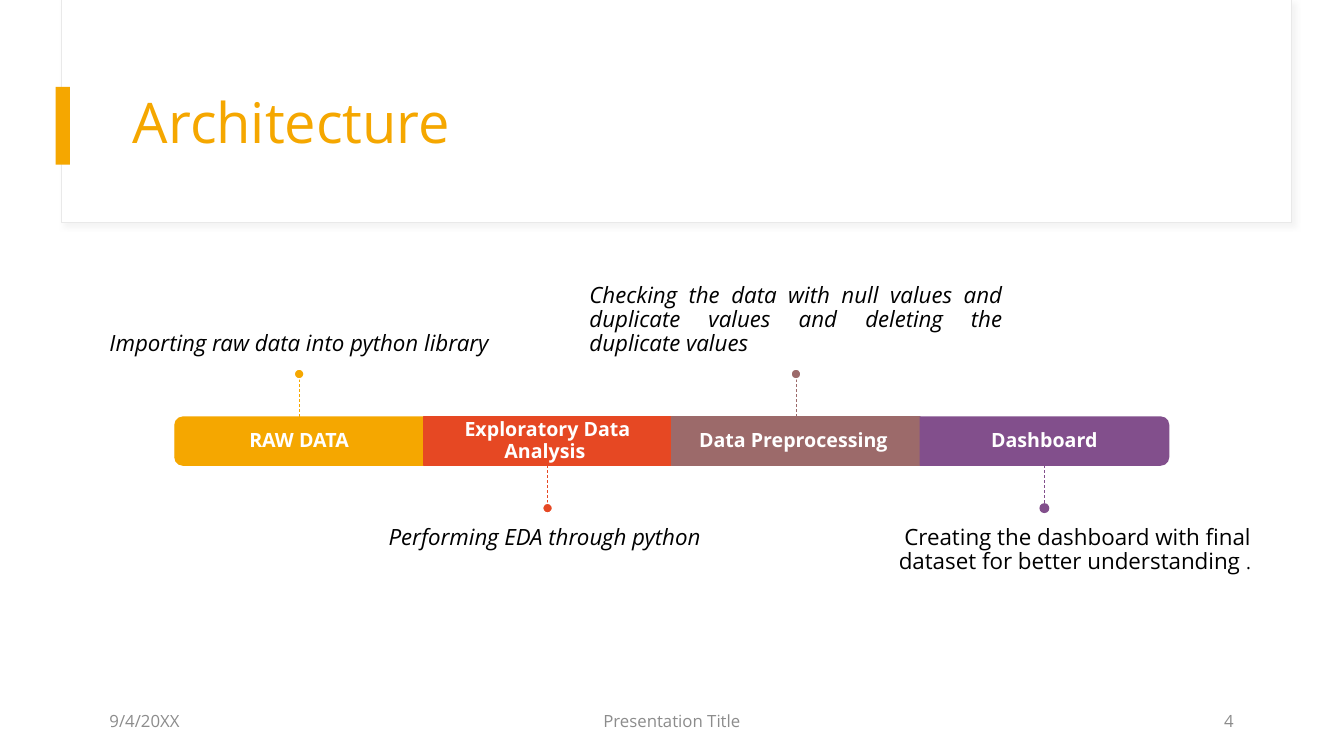
"""Build the Architecture slide: a four-stage data pipeline band with captions."""

from dataclasses import dataclass

from lxml.etree import SubElement
from pptx import Presentation
from pptx.dml.color import RGBColor
from pptx.enum.dml import MSO_LINE
from pptx.enum.shapes import MSO_CONNECTOR, MSO_SHAPE
from pptx.enum.text import MSO_ANCHOR as Anchor, PP_ALIGN as Align
from pptx.oxml import parse_xml
from pptx.oxml.ns import nsdecls, qn
from pptx.shapes.autoshape import Shape
from pptx.slide import Slide
from pptx.text.text import _Paragraph as Paragraph
from pptx.util import Cm, Pt


@dataclass(frozen=True)
class Theme:
    """Colours and type sizes of the slide."""
    font: str = "Open Sans"
    white: str = "FFFFFF"
    black: str = "000000"
    grey: str = "8C8C8C"
    border: str = "E9E9E9"
    shade: str = "D9D9D9"
    amber: str = "F5A700"
    red: str = "E64823"
    rose: str = "9C6A6A"
    purple: str = "824F8C"
    title: float = 40
    caption: float = 16
    label: float = 14
    full_stop: float = 13
    footer: float = 12


@dataclass(frozen=True)
class Box:
    """A frame in centimetres."""
    left: float
    top: float
    width: float
    height: float


@dataclass(frozen=True)
class Stage:
    """One stage of the pipeline with its caption."""
    label: str
    caption: str
    color: str
    above: bool
    align: Align = Align.CENTER
    italic: bool = True
    rotation: int = 0
    full_stop: str = ""
    dot_line: bool = True


@dataclass(frozen=True)
class Footer:
    """One footer field."""
    text: str
    box: Box
    align: Align


THEME = Theme()
BAND = Box(4.41, 10.51, 6.26, 1.21)
DOT = 0.25
STEM = 0.96
CAPTION_WIDTH, CAPTION_HEIGHT = 10.41, 4.24
CAPTION_GAP = 1.2
STAGES = [
    Stage("RAW DATA", "Importing raw data into python library",
          THEME.amber, True, rotation=270),
    Stage("Exploratory Data Analysis ", "Performing EDA through python ",
          THEME.red, False),
    Stage("Data Preprocessing ",
          "Checking the data with null values and duplicate values "
          "and deleting the duplicate values",
          THEME.rose, True, align=Align.JUSTIFY),
    Stage("Dashboard",
          "Creating the dashboard with final dataset for better understanding ",
          THEME.purple, False, align=Align.RIGHT, italic=False, rotation=90,
          full_stop=".", dot_line=False),
]
FOOTERS = [
    Footer("9/4/20XX", Box(2.51, 17.65, 7.62, 1.02), Align.LEFT),
    Footer("Presentation Title", Box(11.22, 17.65, 11.43, 1.02), Align.CENTER),
    Footer("4", Box(23.72, 17.65, 7.62, 1.02), Align.RIGHT),
]


def add_block(page: Slide, kind: MSO_SHAPE, box: Box, fill: str,
              line: str = "", weight: float = 1) -> Shape:
    """Add a filled preset shape, outlined when a line colour is given."""
    block = page.shapes.add_shape(
        kind, Cm(box.left), Cm(box.top), Cm(box.width), Cm(box.height))
    block.shadow.inherit = False
    block.fill.solid()
    block.fill.fore_color.rgb = RGBColor.from_string(fill)
    if line:
        block.line.color.rgb = RGBColor.from_string(line)
        block.line.width = Pt(weight)
    else:
        block.line.fill.background()
    return block


def add_span(para: Paragraph, text: str, size: float, color: str,
             bold: bool = False, italic: bool = False) -> None:
    """Append formatted text to a paragraph."""
    span = para.add_run()
    span.text = text
    span.font.name = THEME.font
    span.font.size = Pt(size)
    span.font.bold = bold
    span.font.italic = italic
    span.font.color.rgb = RGBColor.from_string(color)


def add_text(page: Slide, text: str, box: Box, *, size: float, color: str,
             align: Align = Align.LEFT, anchor: Anchor = Anchor.MIDDLE,
             spacing: float = 1.0, bold: bool = False, italic: bool = False,
             insets: tuple[float, float, float, float] = (0.25, 0.13, 0.25, 0.13),
             ) -> Paragraph:
    """Add a wrapped text box and return its paragraph."""
    frame = page.shapes.add_textbox(
        Cm(box.left), Cm(box.top), Cm(box.width), Cm(box.height)).text_frame
    frame.word_wrap = True
    frame.vertical_anchor = anchor
    frame.margin_left, frame.margin_top, frame.margin_right, frame.margin_bottom = map(Cm, insets)
    para = frame.paragraphs[0]
    para.alignment = align
    para.line_spacing = spacing
    add_span(para, text, size, color, bold, italic)
    return para


def add_header(page: Slide) -> None:
    """Draw the title card with its soft shadow and accent bar."""
    card = add_block(page, MSO_SHAPE.RECTANGLE, Box(1.55, 0, 31.01, 5.61),
                     THEME.white, THEME.border, 0.75)
    effects = card._element.spPr.find(qn("a:effectLst"))
    effects.append(parse_xml(
        f'<a:outerShdw {nsdecls("a")} blurRad="{Pt(4)}" dist="{Pt(3)}" dir="2700000">'
        f'<a:srgbClr val="{THEME.shade}"><a:alpha val="30000"/></a:srgbClr></a:outerShdw>'))
    add_block(page, MSO_SHAPE.RECTANGLE, Box(1.4, 2.19, 0.36, 1.96), THEME.amber)
    add_text(page, "Architecture", Box(3.1, 1.52, 28.24, 3.28),
             size=THEME.title, color=THEME.amber, spacing=0.9)


def add_stem(page: Slide, stage: Stage, block: Shape, center: float,
             start: float, end: float) -> None:
    """Draw the dashed line from a stage to its dot."""
    stem = page.shapes.add_connector(
        MSO_CONNECTOR.STRAIGHT, Cm(center), Cm(start), Cm(center), Cm(end))
    if not stage.rotation:
        stem.begin_connect(block, 0 if stage.above else 2)
    stem.line.color.rgb = RGBColor.from_string(stage.color)
    stem.line.width = Pt(0.5)
    stem.line.dash_style = MSO_LINE.DASH
    SubElement(stem._element.spPr, qn("a:effectLst"))


def add_stage(page: Slide, stage: Stage, index: int) -> None:
    """Draw one stage with its label, caption, stem and dot."""
    box = Box(BAND.left + index * BAND.width, BAND.top, BAND.width, BAND.height)
    center, middle = box.left + box.width / 2, box.top + box.height / 2
    kind, outline = MSO_SHAPE.RECTANGLE, box
    if stage.rotation:
        kind = MSO_SHAPE.ROUND_2_SAME_RECTANGLE
        outline = Box(center - box.height / 2, middle - box.width / 2, box.height, box.width)
    block = add_block(page, kind, outline, stage.color, stage.color)
    block.rotation = stage.rotation
    add_text(page, stage.label, box, size=THEME.label, color=THEME.white, bold=True,
             align=Align.CENTER, spacing=0.9, insets=(0.3, 0.3, 0.3, 0.3))

    bottom = box.top + box.height
    if stage.above:
        start, end = box.top, box.top - STEM
        dot_top, caption_top = end - DOT, box.top - CAPTION_GAP - CAPTION_HEIGHT
        anchor, insets = Anchor.BOTTOM, (0, 0, 0, 0.33)
    else:
        start, end = bottom, bottom + STEM
        dot_top, caption_top = end, bottom + CAPTION_GAP
        anchor, insets = Anchor.TOP, (0, 0.33, 0, 0)
    para = add_text(
        page, stage.caption,
        Box(center - CAPTION_WIDTH / 2, caption_top, CAPTION_WIDTH, CAPTION_HEIGHT),
        size=THEME.caption, color=THEME.black, italic=stage.italic,
        align=stage.align, anchor=anchor, spacing=0.9, insets=insets)
    if stage.full_stop:
        add_span(para, stage.full_stop, THEME.full_stop, THEME.black)
    add_stem(page, stage, block, center, start, end)
    add_block(page, MSO_SHAPE.OVAL, Box(center - DOT / 2, dot_top, DOT, DOT),
              stage.color, THEME.white if stage.dot_line else "")


def main() -> None:
    """Build and save the deck."""
    deck = Presentation()
    deck.slide_width, deck.slide_height = Cm(33.87), Cm(19.05)
    page = deck.slides.add_slide(deck.slide_layouts[6])
    add_header(page)
    for index, stage in enumerate(STAGES):
        add_stage(page, stage, index)
    for footer in FOOTERS:
        add_text(page, footer.text, footer.box, size=THEME.footer,
                 color=THEME.grey, align=footer.align)
    deck.save("out.pptx")


if __name__ == "__main__":
    main()
